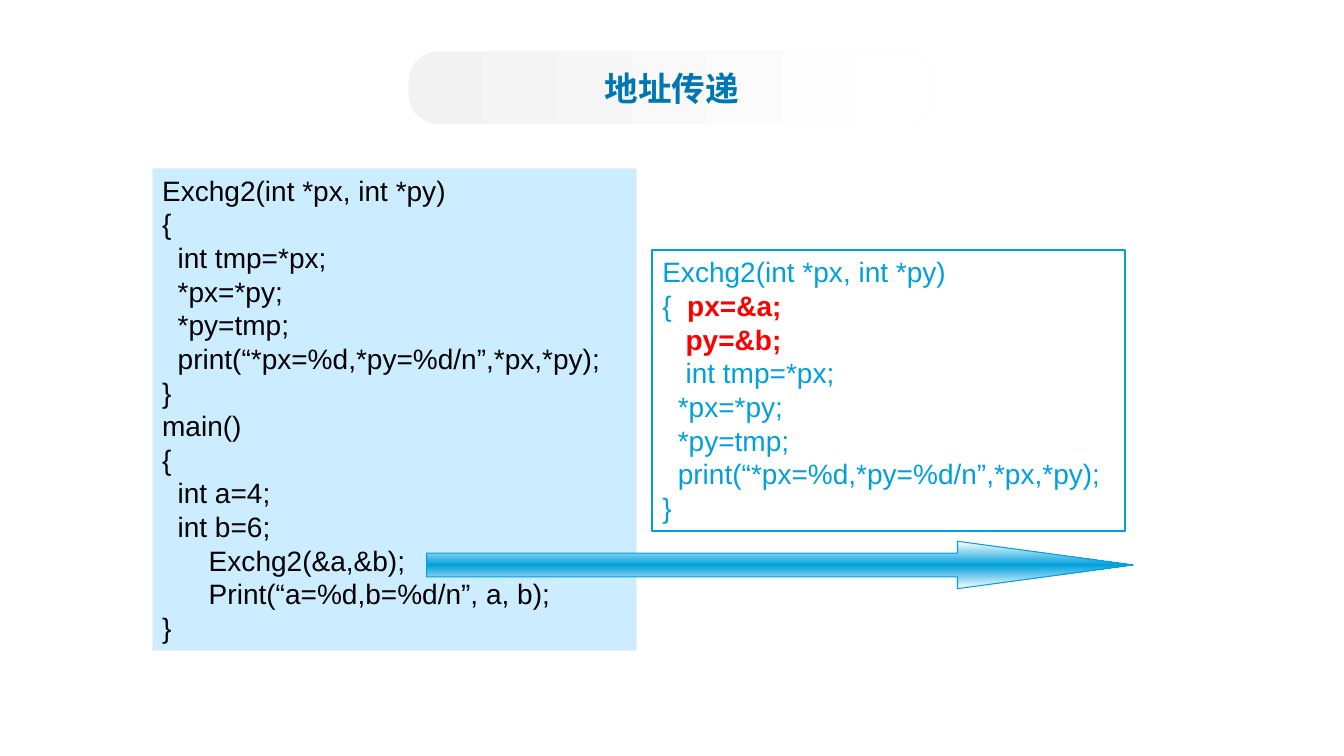
from dataclasses import dataclass

from lxml import etree
from pptx import Presentation
from pptx.dml.color import RGBColor
from pptx.enum.shapes import MSO_SHAPE
from pptx.enum.text import MSO_ANCHOR, MSO_AUTO_SIZE, PP_ALIGN
from pptx.oxml.ns import qn
from pptx.util import Inches, Pt

RECT, ROUND, UP_ARROW = MSO_SHAPE.RECTANGLE, MSO_SHAPE.ROUNDED_RECTANGLE, MSO_SHAPE.UP_ARROW
LEFT, CENTER = PP_ALIGN.LEFT, PP_ALIGN.CENTER
TOP, MIDDLE = MSO_ANCHOR.TOP, MSO_ANCHOR.MIDDLE


@dataclass(frozen=True)
class Theme:
    white: str = "FFFFFF"
    black: str = "000000"
    title: str = "0077B5"
    accent: str = "00A0DC"
    highlight: str = "FF0000"
    panel: str = "CCECFF"
    pale: str = "F0F0F0"
    banner: str = "F2F2F2"
    title_font: str = "Noto Sans CJK SC"
    code_font: str = "Arial"
    title_size: int = 24
    code_size: int = 20


T = Theme()

PROGRAM = """Exchg2(int *px, int *py)
{
  int tmp=*px;
  *px=*py;
  *py=tmp;
  print(“*px=%d,*py=%d/n”,*px,*py);
}
main()
{
  int a=4;
  int b=6;
      Exchg2(&a,&b);
      Print(“a=%d,b=%d/n”, a, b);
}"""
CALL_HEAD = "Exchg2(int *px, int *py)\n{  "
CALL_BINDING = "px=&a;\n   py=&b;"
CALL_BODY = """   int tmp=*px;
  *px=*py;
  *py=tmp;
  print(“*px=%d,*py=%d/n”,*px,*py);
}"""


def add_text(p, text, *, size=T.code_size, font=T.code_font, color=T.black, bold=False):
    """Add formatted text to a paragraph, with a line break at each newline."""
    for i, line in enumerate(text.split("\n")):
        if i:
            p.add_line_break()
        r = p.add_run()
        r.text = line
        r.font.size, r.font.name, r.font.bold = Pt(size), font, bold
        r.font.color.rgb = RGBColor.from_string(color)
        etree.SubElement(r.font._element, qn("a:ea")).set("typeface", font)


def fill_gradient(sp, stops):
    """Fill from left to right with (percent, colour) stops."""
    sp.fill.gradient()
    sp.fill.gradient_angle = 0
    stop_list = sp.fill._xPr.find(qn("a:gradFill")).find(qn("a:gsLst"))
    for old in list(stop_list):
        stop_list.remove(old)
    for percent, color in stops:
        gs = etree.SubElement(stop_list, qn("a:gs"), pos=str(percent * 1000))
        etree.SubElement(gs, qn("a:srgbClr"), val=color)


def add_shape(s, kind, box, *, fill=None, line=None, width=0.75, anchor=TOP, align=LEFT):
    sp = s.shapes.add_shape(kind, *(Inches(v) for v in box))
    sp.shadow.inherit = False
    if fill:
        sp.fill.solid()
        sp.fill.fore_color.rgb = RGBColor.from_string(fill)
    if line:
        sp.line.color.rgb = RGBColor.from_string(line)
        sp.line.width = Pt(width)
    else:
        sp.line.fill.background()
    tf = sp.text_frame
    tf.word_wrap = True
    tf.vertical_anchor = anchor
    tf.paragraphs[0].alignment = align
    return sp


def add_title(s, box, text):
    sp = add_shape(s, ROUND, box, anchor=MIDDLE, align=CENTER)
    sp.adjustments[0] = 0.42
    fill_gradient(sp, [(0, T.banner), (99, T.white)])
    add_text(sp.text_frame.paragraphs[0], text, size=T.title_size,
             font=T.title_font, color=T.title, bold=True)


def add_code(s, box, paragraphs, **look):
    """Draw a code panel; each paragraph is a list of (text, format) pairs."""
    tf = add_shape(s, RECT, box, **look).text_frame
    tf.auto_size = MSO_AUTO_SIZE.SHAPE_TO_FIT_TEXT
    for i, parts in enumerate(paragraphs):
        p = tf.add_paragraph() if i else tf.paragraphs[0]
        p.alignment = LEFT
        for text, style in parts:
            add_text(p, text, **style)


def add_call_arrow(s, box):
    """Turn an up arrow to the right so that it fills the given box."""
    x, y, w, h = box
    upright = (x + (w - h) / 2, y + (h - w) / 2, h, w)
    sp = add_shape(s, UP_ARROW, upright, line=T.accent)
    sp.rotation = 90
    sp.adjustments[0], sp.adjustments[1] = 0.5, 3.71
    fill_gradient(sp, [(0, T.white), (50, T.accent), (100, T.white)])


def main():
    prs = Presentation()
    prs.slide_width, prs.slide_height = Inches(13.33), Inches(7.5)
    s = prs.slides.add_slide(prs.slide_layouts[6])

    # Title banner
    add_title(s, (4.05, 0.51, 5.23, 0.72), "地址传递")

    # Whole program
    add_code(s, (1.51, 1.67, 4.8, 4.78), [[(PROGRAM, {})]], fill=T.panel, line=T.pale)

    # Function as called, with its arguments bound
    plain = {"color": T.accent}
    bound = {"color": T.highlight, "bold": True}
    add_code(s, (6.47, 2.48, 4.69, 2.79),
             [[(CALL_HEAD, plain), (CALL_BINDING, bound)], [(CALL_BODY, plain)]],
             fill=T.white, line=T.accent, width=1.5)

    # Arrow from the call
    add_call_arrow(s, (4.23, 5.37, 7.01, 0.47))

    prs.save("out.pptx")


if __name__ == "__main__":
    main()
